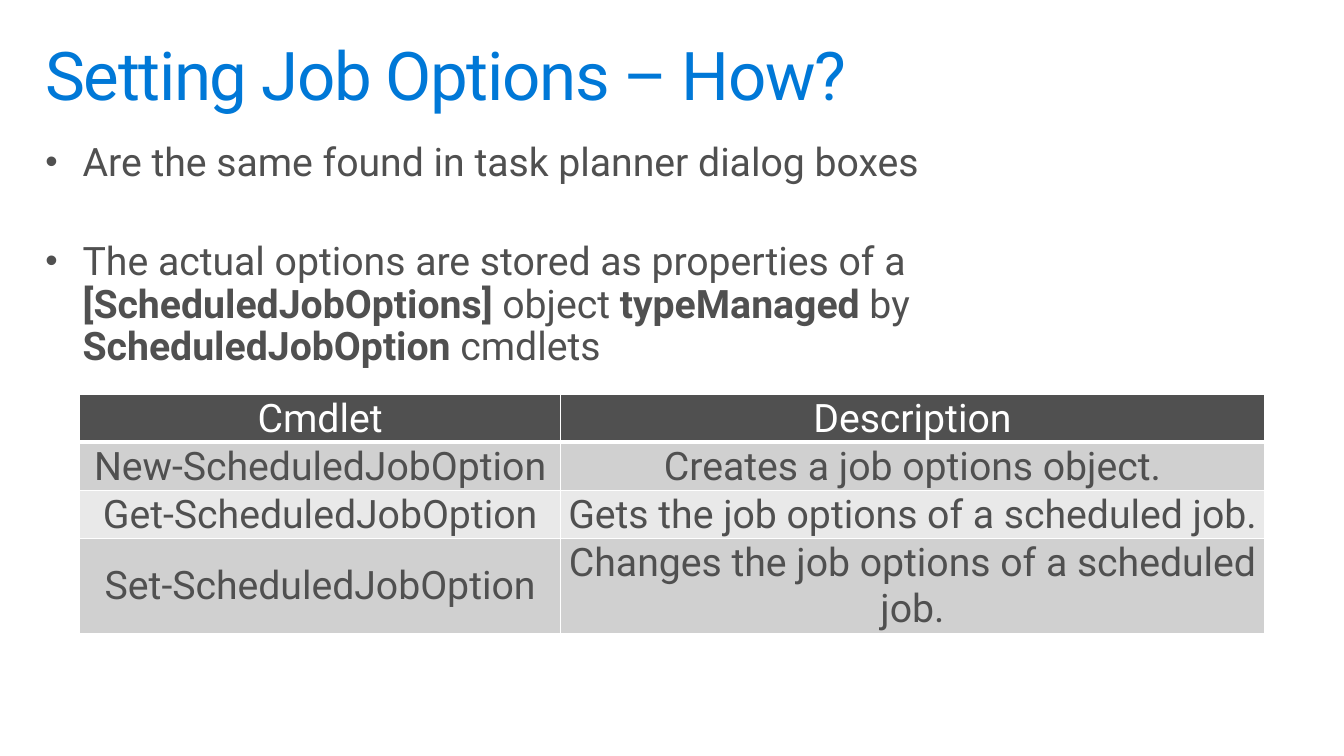
from pptx import Presentation
from pptx.dml.color import RGBColor as RGB
from pptx.enum.text import MSO_ANCHOR as Anchor, MSO_AUTO_SIZE as Fit, PP_ALIGN as Align
from pptx.oxml import parse_xml
from pptx.oxml.ns import nsdecls
from pptx.util import Inches, Pt

COLORS = {
    "blue": "0078D7",
    "gray": "505050",
    "white": "FFFFFF",
    "dark": "D0D0D0",
    "light": "E9E9E9",
}


def add_run(para, text, size, color, bold=False):
    run = para.add_run()
    run.text = text
    font = run.font
    font.name = "Roboto"
    font.size = Pt(size)
    font.bold = bold
    font.color.rgb = RGB.from_string(COLORS[color])
    return run


def add_box(left, top, width, height):
    box = slide.shapes.add_textbox(Inches(left), Inches(top), Inches(width), Inches(height))
    frame = box.text_frame
    frame.word_wrap = True
    frame.margin_left = frame.margin_right = Inches(0.16)
    frame.margin_top = frame.margin_bottom = Inches(0.1)
    return frame


deck = Presentation()
deck.slide_width = Inches(13.33)
deck.slide_height = Inches(7.5)
slide = deck.slides.add_slide(deck.slide_layouts[6])

body = add_box(0.29, 1.31, 12.46, 2.61)
body.auto_size = Fit.SHAPE_TO_FIT_TEXT
bullets = [
    [("Are the same found in task planner dialog boxes", False)],
    [
        ("The actual options are stored as properties of a ", False),
        ("[ScheduledJobOptions] ", True),
        ("object ", False),
        ("typeManaged", True),
        (" by ", False),
        ("ScheduledJobOption", True),
        (" cmdlets", False),
    ],
]
for index, parts in enumerate(bullets):
    para = body.add_paragraph() if index else body.paragraphs[0]
    props = para._p.get_or_add_pPr()
    props.set("marL", str(Inches(0.37)))
    props.set("indent", str(Inches(-0.37)))
    props.append(parse_xml(f'<a:buSzPct {nsdecls("a")} val="90000"/>'))
    props.append(parse_xml(f'<a:buFont {nsdecls("a")} typeface="Arial"/>'))
    props.append(parse_xml(f'<a:buChar {nsdecls("a")} char="•"/>'))
    para.line_spacing = 0.9
    if index:
        para.space_before = Pt(41)
    for text, bold in parts:
        add_run(para, text, 28, "gray", bold)

title = add_box(0.29, 0.32, 12.75, 0.98).paragraphs[0]
title.line_spacing = 0.9
head = add_run(title, "Setting Job Options – How?", 48, "blue")
head.font._element.set("spc", "-100")

rows = [
    ("Cmdlet", "Description"),
    ("New-ScheduledJobOption", "Creates a job options object."),
    ("Get-ScheduledJobOption", "Gets the job options of a scheduled job."),
    ("Set-ScheduledJobOption", "Changes the job options of a scheduled job."),
]
fills = ["gray", "dark", "light", "dark"]
table = slide.shapes.add_table(
    4, 2, Inches(0.79), Inches(3.91), Inches(11.75), Inches(2.37)
).table
for col, width in zip(table.columns, [4.77, 6.98]):
    col.width = Inches(width)
for row, height in zip(table.rows, [0.34, 0.44, 0.39, 0.34]):
    row.height = Inches(height)

for r, texts in enumerate(rows):
    for c, text in enumerate(texts):
        cell = table.cell(r, c)
        cell.vertical_anchor = Anchor.MIDDLE
        cell.margin_left = cell.margin_top = cell.margin_right = Inches(0.01)
        cell.margin_bottom = 0
        props = cell._tc.get_or_add_tcPr()
        for side in "LRTB":
            width = Pt(3 if r == 0 and side == "B" else 1)
            props.append(parse_xml(
                f'<a:ln{side} {nsdecls("a")} w="{width}"><a:solidFill>'
                f'<a:srgbClr val="{COLORS["white"]}"/></a:solidFill></a:ln{side}>'
            ))
        cell.fill.solid()
        cell.fill.fore_color.rgb = RGB.from_string(COLORS[fills[r]])
        para = cell.text_frame.paragraphs[0]
        para.alignment = Align.CENTER
        add_run(para, text, 28, "gray" if r else "white")

deck.save("out.pptx")
